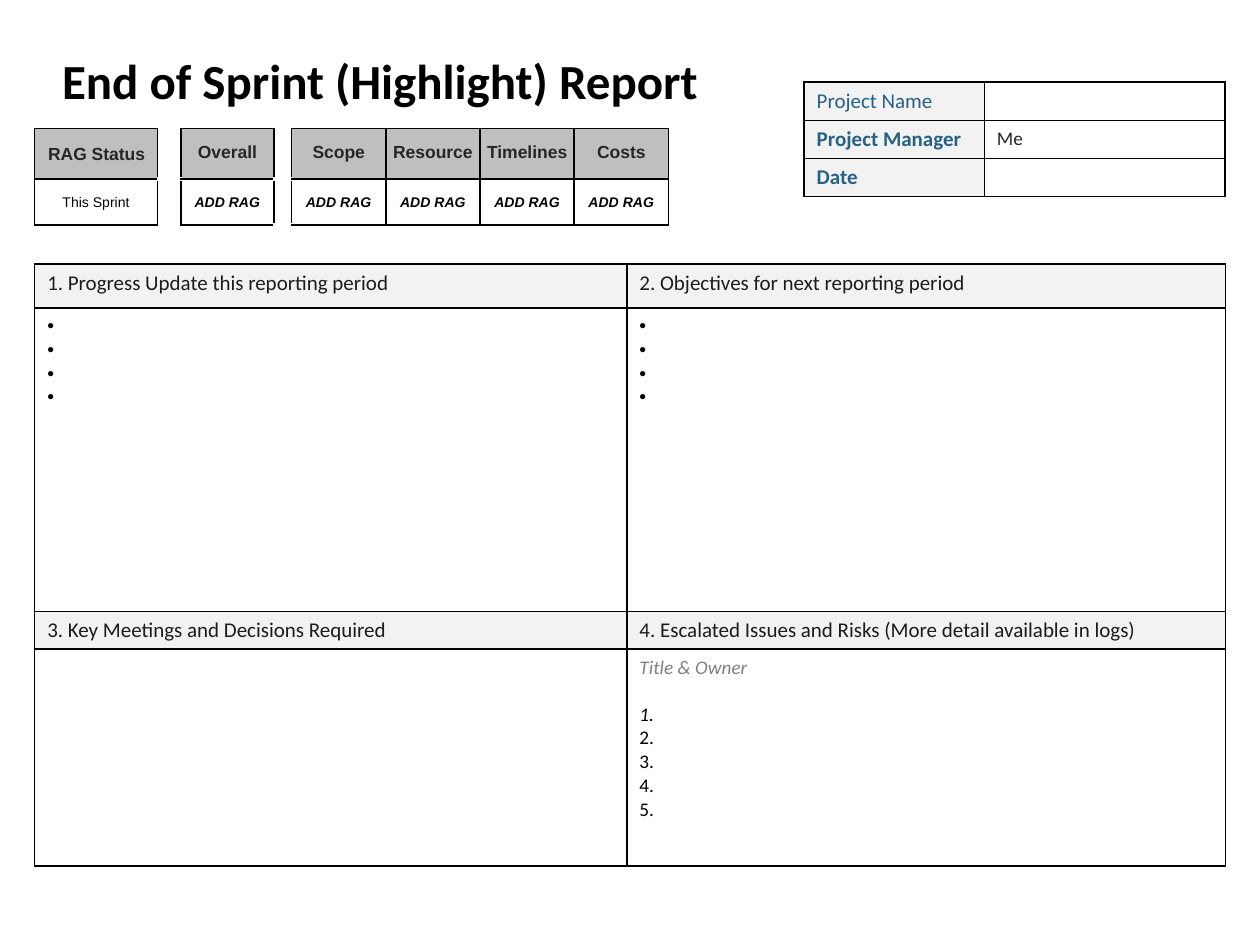
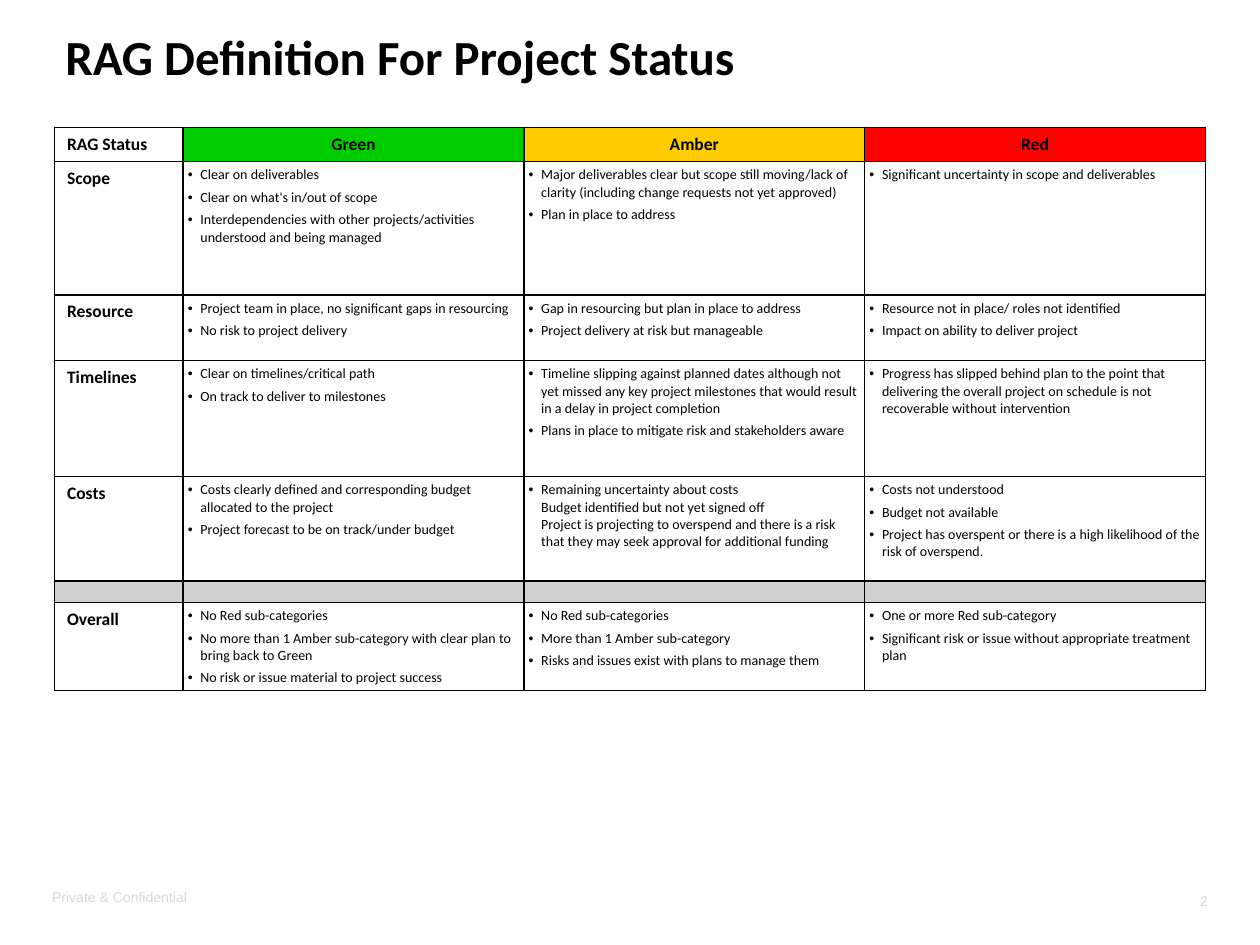
from copy import deepcopy

from lxml.etree import SubElement
from pptx import Presentation
from pptx.dml.color import RGBColor
from pptx.enum.text import MSO_ANCHOR as Anchor, PP_ALIGN as Align
from pptx.oxml.ns import qn
from pptx.util import Inches, Pt

# Colours
BLACK = RGBColor(0x00, 0x00, 0x00)
WHITE = RGBColor(0xFF, 0xFF, 0xFF)
INK = RGBColor(0x1C, 0x1C, 0x1C)
DARK = RGBColor(0x26, 0x26, 0x26)
MUTED = RGBColor(0x80, 0x80, 0x80)
FAINT = RGBColor(0xD9, 0xD9, 0xD9)
BLUE = RGBColor(0x26, 0x61, 0x86)
PANEL = RGBColor(0xF2, 0xF2, 0xF2)
STATUS_HEAD = RGBColor(0xBF, 0xBF, 0xBF)
DIVIDER = RGBColor(0xD0, 0xCE, 0xCE)
GREEN = RGBColor(0x00, 0xCC, 0x00)
AMBER = RGBColor(0xFF, 0xCC, 0x00)
RED = RGBColor(0xFF, 0x00, 0x00)

BODY_FONT, LABEL_FONT = "Calibri", "Arial"
COLUMNS, ROWS = 100, 75
WIDTH, HEIGHT = Inches(10), Inches(7.5)

# Cell margins in columns: left, top, right, bottom
WIDE = (1, 0.5, 1, 0.5)
SNUG = (0.38, 0.4, 0.3, 0.4)
TIGHT = (0.4, 0.2, 0.4, 0.2)
NONE = (0, 0, 0, 0)


def across(columns):
    return int(WIDTH * columns / COLUMNS)


def down(rows):
    return int(HEIGHT * rows / ROWS)


def add_bullet(paragraph, kind, indent):
    """Hang a dot or an automatic number in front of a paragraph."""
    props = paragraph._p.get_or_add_pPr()
    props.set("marL", str(across(indent)))
    props.set("indent", str(-across(indent)))
    if kind == "number":
        SubElement(props, qn("a:buAutoNum"), type="arabicPeriod")
    else:
        SubElement(props, qn("a:buFont"), typeface="Arial")
        SubElement(props, qn("a:buChar"), char="•")


def write(frame, text, size=11, font=BODY_FONT, color=BLACK, bold=False,
          italic=False, align=Align.LEFT, bullet=None, indent=1,
          before=0, after=0, spacing=None):
    """Append text: a newline starts a paragraph, a vertical tab a line."""
    for line in text.split("\n"):
        paragraph = frame.add_paragraph() if frame.text else frame.paragraphs[0]
        paragraph.text = line
        paragraph.alignment = align
        paragraph.space_before, paragraph.space_after = Pt(before), Pt(after)
        if spacing:
            paragraph.line_spacing = spacing
        if bullet:
            add_bullet(paragraph, bullet, indent)
        for run in paragraph.runs:
            style = run.font
            style.name, style.size = font, Pt(size)
            style.bold, style.italic = bold, italic
            style.color.rgb = color
        for line_break in paragraph._p.findall(qn("a:br")):
            line_break.append(deepcopy(paragraph.runs[0]._r.rPr))


def draw_edges(cell, edges):
    """Edges map a side to (colour, points), or to None for no line."""
    props = cell._tc.get_or_add_tcPr()
    for side in "LRTB":
        line = SubElement(props, qn(f"a:ln{side}"))
        edge = edges.get(side, (BLACK, 1))
        if edge is None:
            SubElement(line, qn("a:noFill"))
            continue
        color, points = edge
        line.set("w", str(Pt(points)))
        fill = SubElement(line, qn("a:solidFill"))
        SubElement(fill, qn("a:srgbClr"), val=str(color))


class Deck:
    def __init__(self):
        self.show = Presentation()
        self.show.slide_width, self.show.slide_height = WIDTH, HEIGHT
        self.slide = None

    def new_slide(self):
        self.slide = self.show.slides.add_slide(self.show.slide_layouts[6])

    def text(self, left, top, width, height, text, **style):
        box = self.slide.shapes.add_textbox(
            across(left), down(top), across(width), down(height))
        frame = box.text_frame
        frame.word_wrap = True
        frame.vertical_anchor = Anchor.MIDDLE
        write(frame, text, **style)
        return frame

    def title(self, left, top, width, height, text, **style):
        self.text(left, top, width, height, text, size=28, bold=True, **style)

    def footer(self, note):
        style = dict(size=8, font=LABEL_FONT, color=FAINT)
        self.text(3.15, 69.7, 30, 3, note, **style)
        number = self.text(86.85, 70, 10, 3, str(len(self.show.slides)),
                           align=Align.RIGHT, **style)
        run = number.paragraphs[0].runs[0]._r
        field = SubElement(run.getparent(), qn("a:fld"), type="slidenum",
                           id="{B6F15528-21DE-4FAA-801E-634DDDAF4B2B}")
        field.extend(list(run))
        run.getparent().remove(run)

    def table(self, left, top, columns, rows):
        table = self.slide.shapes.add_table(
            len(rows), len(columns), across(left), down(top),
            across(sum(columns)), down(sum(rows))).table
        table.first_row = table.horz_banding = False
        for column, width in zip(table.columns, columns):
            column.width = across(width)
        for row, height in zip(table.rows, rows):
            row.height = down(height)
        return table

    def cell(self, cell, text="", fill=None, margins=WIDE,
             anchor=Anchor.TOP, edges=None, **style):
        draw_edges(cell, edges or {})
        if fill is None:
            cell.fill.background()
        else:
            cell.fill.solid()
            cell.fill.fore_color.rgb = fill
        (cell.margin_left, cell.margin_top,
         cell.margin_right, cell.margin_bottom) = map(across, margins)
        cell.vertical_anchor = anchor
        if text:
            write(cell.text_frame, text, **style)
        else:
            end = cell.text_frame.paragraphs[0]._p.get_or_add_endParaRPr()
            end.set("sz", "400")
        return cell.text_frame


# Slide 1: sprint report
def add_panels(deck, top, heights, headings, bodies):
    panels = deck.table(2.75, top, (47, 47.5), heights)
    frames = []
    for col, (heading, body) in enumerate(zip(headings, bodies)):
        deck.cell(panels.cell(0, col), heading, PANEL, size=12, color=INK,
                  before=3, after=3)
        frames.append(deck.cell(panels.cell(1, col), **body))
    return frames


def add_project_details(deck):
    details = deck.table(63.82, 6.52, (14.3, 19.1), (3.03,) * 3)
    entries = (("Project Name", ""), ("Project Manager", "Me"), ("Date", ""))
    for row, (label, value) in enumerate(entries):
        deck.cell(details.cell(row, 0), label, PANEL, size=12, color=BLUE,
                  bold=row > 0)
        deck.cell(details.cell(row, 1), value, color=DARK)


def add_status_strip(deck):
    headings = ("RAG Status", "", "Overall", "",
                "Scope", "Resource", "Timelines", "Costs")
    strip = deck.table(2.75, 10.2, (9.75, 1.85, 7.4, 1.4) + (7.48,) * 4,
                       (4, 3.65))
    gap = (WHITE, 3)
    shared = dict(anchor=Anchor.MIDDLE, font=LABEL_FONT, align=Align.CENTER)
    for col, heading in enumerate(headings):
        head, status = strip.cell(0, col), strip.cell(1, col)
        if not heading:
            deck.cell(head, margins=NONE, edges={"T": None, "B": gap})
            deck.cell(status, margins=NONE,
                      edges={"T": gap, "B": gap if col == 3 else None})
            continue
        first = col == 0
        deck.cell(head, heading, STATUS_HEAD, SNUG if first else TIGHT,
                  size=10, color=DARK, bold=True,
                  spacing=1.05 if first else 0.8, **shared)
        deck.cell(status, "This Sprint" if first else "ADD RAG",
                  margins=TIGHT, size=8, bold=not first, italic=not first,
                  spacing=1.05, **shared)


def build_report(deck):
    deck.new_slide()
    deck.title(3.95, 2.7, 55.4, 7.3, "End of Sprint (Highlight) Report")
    dots = dict(text="\n".join(" " * 4), bullet="dot")
    add_panels(deck, 20.95, (3.48, 24.1),
               ("1. Progress Update this reporting period",
                "2. Objectives for next reporting period"), (dots, dots))
    issues = add_panels(
        deck, 48.52, (3, 17.2),
        ("3. Key Meetings and Decisions Required",
         "4. Escalated Issues and Risks (More detail available in logs)"),
        ({}, dict(text="Title & Owner", color=MUTED, italic=True,
                  after=13.4)))[1]
    for item in range(5):
        write(issues, " ", italic=item == 0, bullet="number", indent=0.9)
    add_project_details(deck)
    add_status_strip(deck)


# Slide 2: meaning of each status
LEVELS = (("RAG Status", None), ("Green", GREEN), ("Amber", AMBER), ("Red", RED))
DEFINITIONS = (
    ("Scope", 10.6,
     "Clear on deliverables\nClear on what's in/out of scope\n"
     "Interdependencies with other projects/activities understood and being managed",
     "Major deliverables clear but scope still moving/lack of clarity "
     "(including change requests not yet approved)\nPlan in place to address",
     "Significant uncertainty in scope and deliverables"),
    ("Resource", 5.2,
     "Project team in place, no significant gaps in resourcing\n"
     "No risk to project delivery",
     "Gap in resourcing but plan in place to address\n"
     "Project delivery at risk but manageable",
     "Resource not in place/ roles not identified\n"
     "Impact on ability to deliver project"),
    ("Timelines", 9.2,
     "Clear on timelines/critical path\nOn track to deliver to milestones",
     "Timeline slipping against planned dates although not yet missed any key "
     "project milestones that would result in a delay in project completion\n"
     "Plans in place to mitigate risk and stakeholders aware",
     "Progress has slipped behind plan to the point that delivering the overall "
     "project on schedule is not recoverable without intervention"),
    ("Costs", 8.3,
     "Costs clearly defined and corresponding budget allocated to the project\n"
     "Project forecast to be on track/under budget",
     "Remaining uncertainty about costs\vBudget identified but not yet signed off\v"
     "Project is projecting to overspend and there is a risk that they may seek "
     "approval for additional funding",
     "Costs not understood\nBudget not available\n"
     "Project has overspent or there is a high likelihood of the risk of overspend."),
    ("", 1.7, "", "", ""),
    ("Overall", 7,
     "No Red sub-categories\n"
     "No more than 1 Amber sub-category with clear plan to bring back to Green\n"
     "No risk or issue material to project success",
     "No Red sub-categories\nMore than 1 Amber sub-category\n"
     "Risks and issues exist with plans to manage them",
     "One or more Red sub-category\n"
     "Significant risk or issue without appropriate treatment plan"),
)


def build_definitions(deck):
    deck.new_slide()
    deck.title(4.2, 0.2, 91.7, 9, "RAG Definition For Project Status",
               spacing=0.9)
    heights = [2.7] + [height for _, height, *_ in DEFINITIONS]
    grid = deck.table(4.33, 10.12, (10.2,) + (27.05,) * 3, heights)
    label = dict(size=10, bold=True)
    for col, (level, color) in enumerate(LEVELS):
        deck.cell(grid.cell(0, col), level, color,
                  align=Align.CENTER if col else Align.LEFT, **label)
    for row, (topic, _, *meanings) in enumerate(DEFINITIONS, start=1):
        fill = None if topic else DIVIDER
        deck.cell(grid.cell(row, 0), topic, fill, **label)
        for col, meaning in enumerate(meanings, start=1):
            deck.cell(grid.cell(row, col), meaning, fill, SNUG,
                      size=8, bullet="dot", after=3)
    deck.footer("Private & Confidential")


def main():
    deck = Deck()
    build_report(deck)
    build_definitions(deck)
    deck.show.save("out.pptx")


if __name__ == "__main__":
    main()
